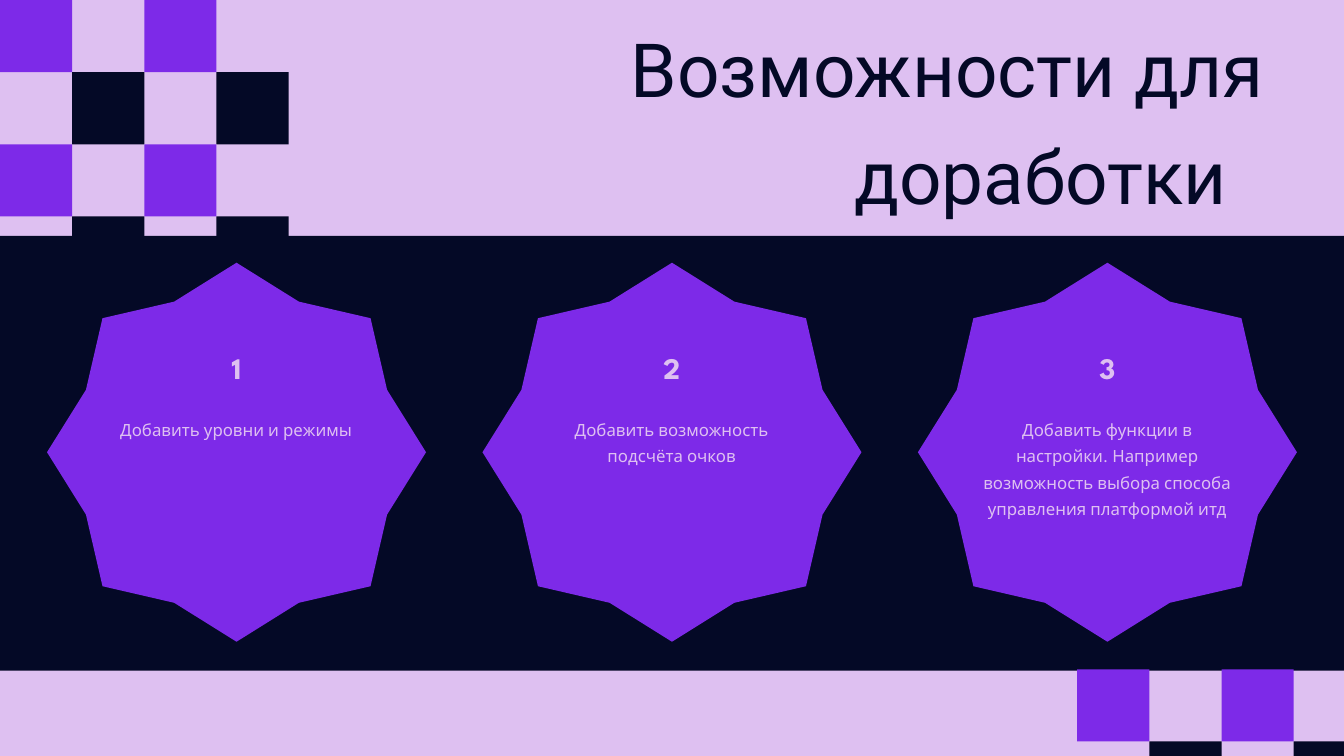
import pptx
import pptx.dml.color
import pptx.enum.shapes
import pptx.enum.text
import pptx.util
from pptx.util import Inches

LILAC, PURPLE, NAVY = "DEC0F1", "7D2AE8", "040926"
SHAPES = pptx.enum.shapes.MSO_SHAPE
ALIGN = pptx.enum.text.PP_ALIGN
SQUARE = 1.074

TITLE = {"name": "Roboto", "size": pptx.util.Pt(80)}
NUMBER = {"name": "League Spartan", "size": pptx.util.Pt(32), "bold": True}
BODY = {"name": "League Spartan", "size": pptx.util.Pt(18)}

IDEAS = [
    "Добавить уровни и режимы",
    "Добавить возможность подсчёта очков",
    "Добавить функции в настройки. Например возможность выбора способа управления платформой итд",
]


def color(hex_value):
    return pptx.dml.color.RGBColor.from_string(hex_value)


def add_filled(slide, kind, left, top, width, height, fill):
    shape = slide.shapes.add_shape(
        kind, Inches(left), Inches(top), Inches(width), Inches(height))
    shape.shadow.inherit = False
    shape.fill.solid()
    shape.fill.fore_color.rgb = color(fill)
    shape.line.fill.background()
    return shape


def add_text(slide, left, top, width, height, lines, font, fill, align, spacing):
    box = slide.shapes.add_textbox(
        Inches(left), Inches(top), Inches(width), Inches(height))
    frame = box.text_frame
    frame.word_wrap = True
    for side in ("left", "top", "right", "bottom"):
        setattr(frame, f"margin_{side}", 0)
    frame.text = "\n".join(lines)
    for paragraph in frame.paragraphs:
        paragraph.alignment = align
        paragraph.line_spacing = spacing
        run_font = paragraph.runs[0].font
        for name, value in font.items():
            setattr(run_font, name, value)
        run_font.color.rgb = color(fill)
    return box


def add_checkerboard(slide, left, top, rows, columns):
    """Fill every second square: purple on even rows, navy on odd rows."""
    for row in range(rows):
        for column in range(row % 2, columns, 2):
            add_filled(slide, SHAPES.RECTANGLE,
                       left + column * SQUARE, top + row * SQUARE,
                       SQUARE, SQUARE, NAVY if row % 2 else PURPLE)


def add_title(slide, left, top, width, height):
    box = add_text(slide, left, top, width, height,
                   ["Возможности для", "доработки"], TITLE, NAVY, ALIGN.RIGHT, 1.2)
    last_line = box.text_frame.paragraphs[-1]
    last_line._p.get_or_add_pPr().set("marR", str(Inches(0.55)))


def add_idea(slide, left, top, size, number, text):
    star = add_filled(slide, SHAPES.STAR_8_POINT, left, top, size, size, PURPLE)
    star.adjustments[0] = 0.43
    add_text(slide, left + 1.12, top + 1.13, size - 2.24, 0.7,
             [str(number)], NUMBER, LILAC, ALIGN.CENTER, 1.3)
    add_text(slide, left + 0.93, top + 2.25, size - 1.87, 1.58,
             [text], BODY, LILAC, ALIGN.CENTER, 1.3)


def main():
    presentation = pptx.Presentation()
    presentation.slide_width = Inches(20)
    presentation.slide_height = Inches(11.25)
    slide = presentation.slides.add_slide(presentation.slide_layouts[6])
    slide.background.fill.solid()
    slide.background.fill.fore_color.rgb = color(LILAC)

    add_checkerboard(slide, 0, 0, rows=4, columns=4)
    add_filled(slide, SHAPES.RECTANGLE, 0, 3.51, 20, 6.47, NAVY)
    add_checkerboard(slide, 16.03, 9.96, rows=2, columns=4)
    add_title(slide, 5.34, 0.07, 13.47, 3.23)
    for index, text in enumerate(IDEAS):
        add_idea(slide, 0.7 + index * 6.48, 3.91, 5.64, index + 1, text)

    presentation.save("out.pptx")


if __name__ == "__main__":
    main()
